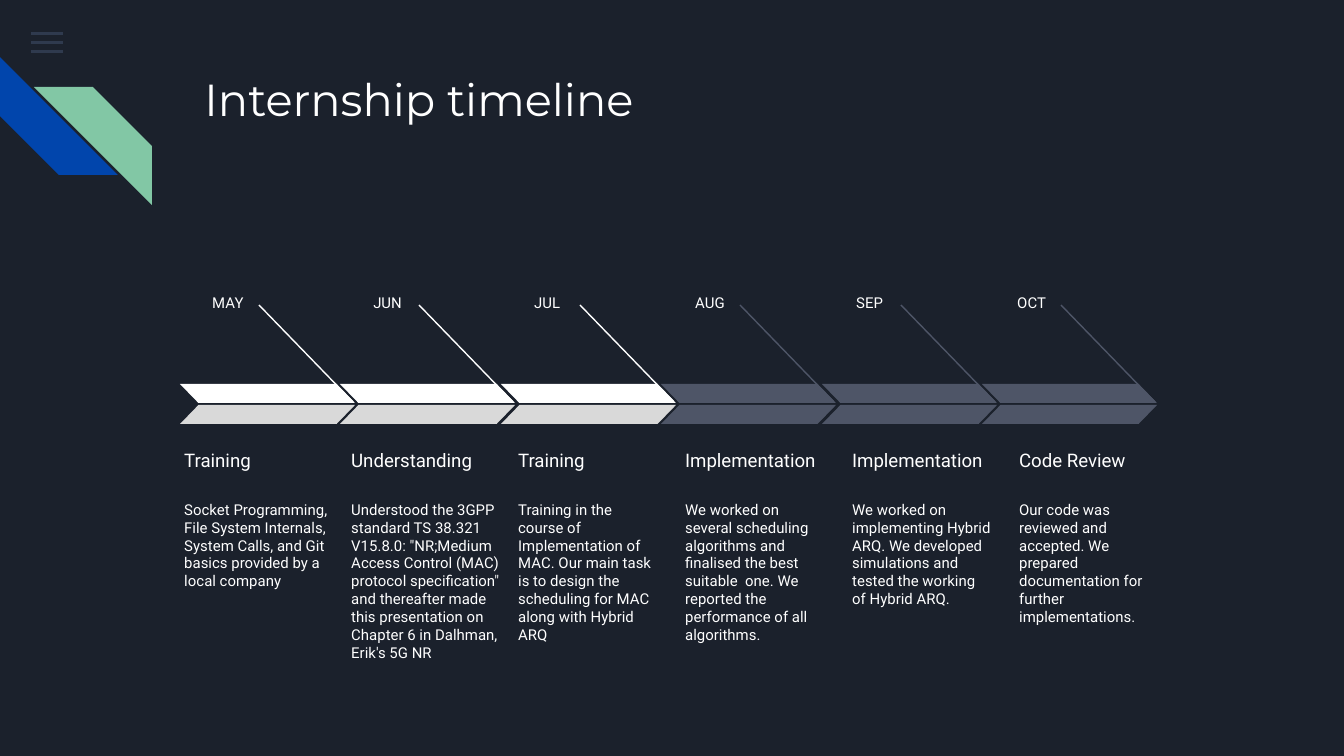
from lxml import etree
from pptx import Presentation
from pptx import util as u
from pptx.dml.color import RGBColor
from pptx.enum import shapes, text
from pptx.oxml.ns import qn

PX = 914400 / 134.4
COLORS = {"night": "1B212C", "menu": "55688B", "blue": "0145AC", "green": "82C7A5",
          "white": "FFFFFF", "silver": "D9D9D9", "slate": "4E5567"}
MONTHS = [
    ("MAY", "Training", "Socket Programming, File System Internals, System Calls, "
     "and Git basics provided by a local company"),
    ("JUN", "Understanding", "Understood the 3GPP standard TS 38.321 V15.8.0: "
     "\"NR;Medium Access Control (MAC) protocol specification\" and thereafter made "
     "this presentation on Chapter 6 in Dalhman, Erik's 5G NR"),
    ("JUL", "Training", "Training in the course of Implementation of MAC. Our main task "
     "is to design the scheduling for MAC along with Hybrid ARQ"),
    ("AUG", "Implementation", "We worked on several scheduling algorithms and finalised "
     "the best suitable  one. We reported the performance of all algorithms."),
    ("SEP", "Implementation", "We worked on implementing Hybrid ARQ. We developed "
     "simulations and tested the working of Hybrid ARQ."),
    ("OCT", "Code Review", "Our code was reviewed and accepted. We prepared "
     "documentation for further implementations."),
]
COLUMN_WIDTHS = [172, 177, 167, 167, 167, 167]
FINISHED = 3

deck = Presentation()
deck.slide_width, deck.slide_height = round(1344 * PX), round(756 * PX)
page = deck.slides.add_slide(deck.slide_layouts[5])
page.background.fill.solid()
page.background.fill.fore_color.rgb = RGBColor.from_string(COLORS["night"])


def add_block(kind, place, color, adjust=None, flip=False):
    """Add a borderless preset shape at a place given in px."""
    block = page.shapes.add_shape(kind, *(round(v * PX) for v in place))
    block.shadow.inherit = False
    block.fill.solid()
    block.fill.fore_color.rgb = RGBColor.from_string(COLORS[color])
    block.line.fill.background()
    if adjust is not None:
        block.adjustments[0] = adjust
    if flip:
        block._element.spPr.find(qn("a:xfrm")).set("flipH", "1")
    return block


def write(box, words, size, font="Roboto", anchor=text.MSO_ANCHOR.TOP):
    """Fill a box with one white, left-aligned paragraph."""
    frame = box.text_frame
    frame.text = words
    frame.word_wrap = True
    frame.auto_size = text.MSO_AUTO_SIZE.NONE
    frame.vertical_anchor = anchor
    frame.margin_left = frame.margin_right = u.Inches(0.1)
    frame.margin_top = frame.margin_bottom = u.Inches(0.1)
    para = frame.paragraphs[0]
    para.alignment = text.PP_ALIGN.LEFT
    span = para.runs[0]
    span.font.size = u.Pt(size)
    span.font.name = font
    span.font.color.rgb = RGBColor.from_string(COLORS["white"])


# Menu bars and corner stripes
for row in range(3):
    bar = add_block(shapes.MSO_SHAPE.RECTANGLE, (31, 32 + 9 * row, 32, 3), "menu")
    tint = bar._element.spPr.find(qn("a:solidFill"))[0]
    etree.SubElement(tint, qn("a:alpha"), val="36000")

stripe = add_block(shapes.MSO_SHAPE.DIAGONAL_STRIPE, (0, 57, 118, 118), "blue", 0.5)
stripe.rotation = 270
add_block(shapes.MSO_SHAPE.DIAGONAL_STRIPE, (34, 87, 118, 118), "green", 0.5, flip=True)

title = page.shapes.title
title.left, title.top, title.width, title.height = (
    round(v * PX) for v in (191, 58, 1035, 134))
write(title, "Internship timeline", 24, "Montserrat")

# Month labels and the columns below the arrow
for i, (month, heading, details) in enumerate(MONTHS):
    column, width = 171 + 167 * i, COLUMN_WIDTHS[i]
    for place, words, size, anchor in (
        ((199 + 161 * i, 280, 79, 31), month, 8, text.MSO_ANCHOR.TOP),
        ((column, 426, width, 59), heading, 10, text.MSO_ANCHOR.BOTTOM),
        ((column, 487, width, 98), details, 8, text.MSO_ANCHOR.TOP),
    ):
        box = page.shapes.add_textbox(*(round(v * PX) for v in place))
        write(box, words, size, anchor=anchor)

# Arrow segments with their leader lines
for i in range(len(MONTHS)):
    upper, lower = ("white", "silver") if i < FINISHED else ("slate", "slate")
    left = 180 + 321 * i // 2
    leader = page.shapes.add_connector(
        shapes.MSO_CONNECTOR.STRAIGHT,
        *(round(v * PX) for v in (left + 79, 305, left + 173, 402)))
    leader.line.color.rgb = RGBColor.from_string(COLORS[upper])
    leader.line.width = u.Pt(0.75)
    etree.SubElement(leader._element.spPr, qn("a:effectLst"))
    add_block(shapes.MSO_SHAPE.PARALLELOGRAM, (left, 384, 175, 19), upper, 0.97, flip=True)
    add_block(shapes.MSO_SHAPE.PARALLELOGRAM, (left, 405, 175, 19), lower, 0.97)

deck.save("out.pptx")
